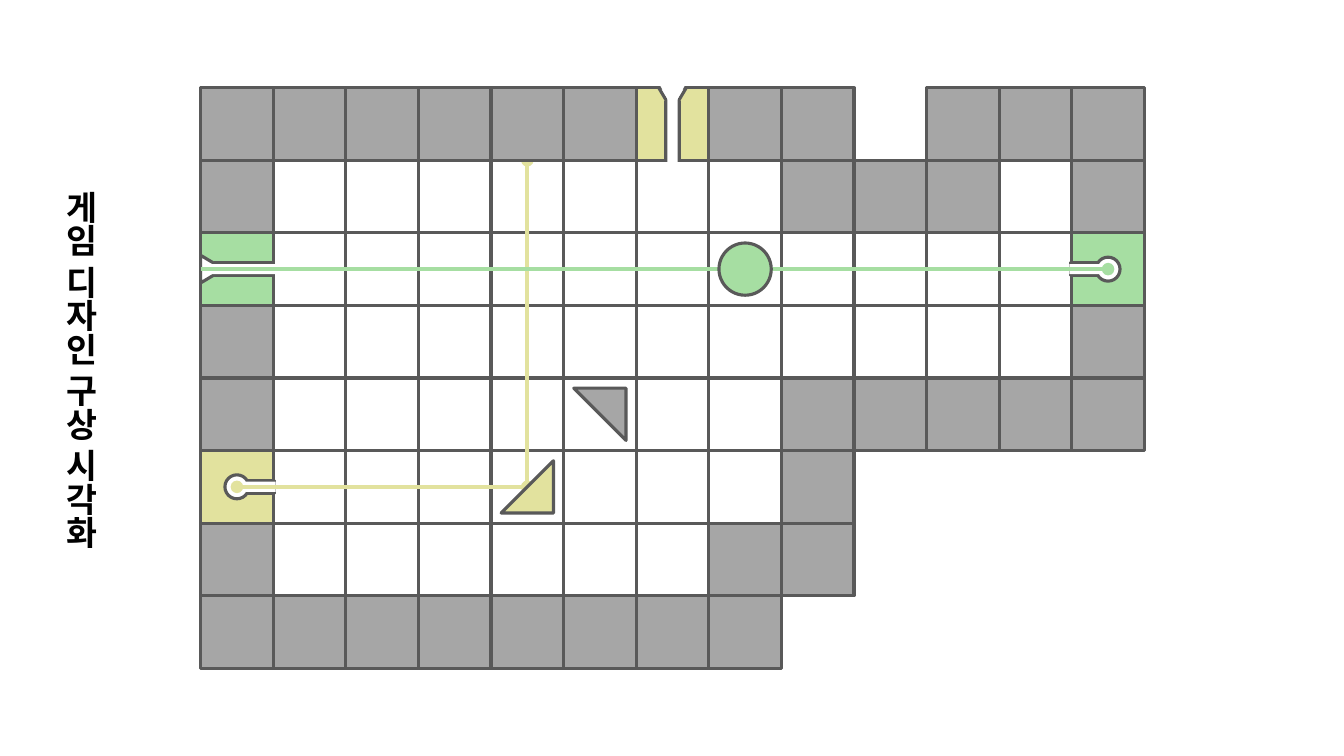
from dataclasses import dataclass
from math import cos, radians, sin

from lxml import etree
from pptx import Presentation
from pptx.dml.color import RGBColor
from pptx.enum.shapes import MSO_CONNECTOR, MSO_SHAPE
from pptx.enum.text import MSO_ANCHOR, MSO_AUTO_SIZE, PP_ALIGN
from pptx.oxml.ns import qn
from pptx.util import Inches, Pt

RECTANGLE = MSO_SHAPE.RECTANGLE
OVAL = MSO_SHAPE.OVAL
TRIANGLE = MSO_SHAPE.ISOSCELES_TRIANGLE
MIRROR = MSO_SHAPE.DIAGONAL_STRIPE
STRAIGHT = MSO_CONNECTOR.STRAIGHT
ANCHOR_TOP = MSO_ANCHOR.TOP
NO_AUTO_SIZE = MSO_AUTO_SIZE.NONE
ALIGN_LEFT = PP_ALIGN.LEFT
TITLE_ONLY = 5


@dataclass(frozen=True)
class Theme:
    wall: str = "A6A6A6"
    outline: str = "595959"
    yellow: str = "E2E29E"
    green: str = "A6DEA2"
    white: str = "FFFFFF"
    text: str = "000000"
    font: str = "Noto Sans CJK KR"
    title_size: float = 24
    outline_width: float = 2.25
    beam_width: float = 3


@dataclass(frozen=True)
class Board:
    """Square cells; positions are counted in columns and rows."""
    left: float = 1.99
    top: float = 0.87
    cell: float = 0.72

    def x(self, column: float) -> int:
        return Inches(self.left + column * self.cell)

    def y(self, row: float) -> int:
        return Inches(self.top + row * self.cell)

    def length(self, cells: float) -> int:
        return Inches(cells * self.cell)


@dataclass(frozen=True)
class Piece:
    """A shape within a tile, centred at an offset from the tile's centre."""
    kind: int
    width: float = 1
    height: float = 1
    across: float = 0
    down: float = 0
    rotation: float = 0
    color: str | None = Theme.white
    outlined: bool = True


@dataclass(frozen=True)
class Tile:
    column: int
    row: int
    pieces: tuple[Piece, ...]
    turn: float = 0


@dataclass(frozen=True)
class Beam:
    start: tuple[float, float]
    end: tuple[float, float]
    color: str
    dots: tuple[str, ...]


THEME = Theme()
BOARD = Board()

# Room plan: W wall, o open floor, x device, dot nothing
PLAN = (
    "WWWWWWxWW.WWW",
    "WoooooooWWWoW",
    "xooooooooooox",
    "WoooooooooooW",
    "WoooooooWWWWW",
    "xoooooooW....",
    "WooooooWW....",
    "WWWWWWWW.....",
)

# A socket opens to the right, a gate opens downwards
SOCKET = (
    Piece(RECTANGLE, 0.39, 0.18, across=0.32),
    Piece(OVAL, 0.33, 0.33),
    Piece(RECTANGLE, 0.41, 0.14, across=0.33, outlined=False),
)
GATE = (
    Piece(RECTANGLE, 0.18, 0.81, down=0.1),
    Piece(TRIANGLE, 0.38, 0.32, down=-0.34, rotation=180),
    Piece(RECTANGLE, 0.14, 0.96, down=0.07, outlined=False),
)
SIDE_GATE = (GATE[1], GATE[0], GATE[2])
MOUTH = Piece(TRIANGLE, 0.39, 0.35, down=-0.4, rotation=180, outlined=False)
YELLOW_BASE = Piece(RECTANGLE, color=THEME.yellow)
GREEN_BASE = Piece(RECTANGLE, color=THEME.green)

DEVICES = (
    Tile(0, 5, (YELLOW_BASE, *SOCKET)),
    Tile(6, 0, (YELLOW_BASE, *GATE, MOUTH)),
    Tile(12, 2, (GREEN_BASE, *SOCKET), turn=180),
    Tile(0, 2, (GREEN_BASE, *SIDE_GATE), turn=-90),
)
MOVERS = (
    Tile(5, 4, (Piece(MIRROR, 0.72, 0.72, rotation=90, color=THEME.wall),)),
    Tile(7, 2, (Piece(OVAL, 0.72, 0.72, color=THEME.green),)),
    Tile(4, 5, (Piece(MIRROR, 0.72, 0.72, rotation=180, color=THEME.yellow),)),
)
RISING_BEAM = Beam((4.5, 5.5), (4.5, 1), THEME.yellow, ("headEnd", "tailEnd"))
LEVEL_BEAMS = (
    Beam((0.5, 5.5), (4.5, 5.5), THEME.yellow, ("headEnd", "tailEnd")),
    Beam((12.5, 2.5), (0, 2.5), THEME.green, ("headEnd",)),
)


def draw_tile(slide, tile: Tile) -> None:
    angle = radians(tile.turn)
    for piece in tile.pieces:
        column = tile.column + 0.5 + piece.across * cos(angle) - piece.down * sin(angle)
        row = tile.row + 0.5 + piece.across * sin(angle) + piece.down * cos(angle)
        shape = slide.shapes.add_shape(
            piece.kind,
            BOARD.x(column - piece.width / 2), BOARD.y(row - piece.height / 2),
            BOARD.length(piece.width), BOARD.length(piece.height))
        shape.rotation = (piece.rotation + tile.turn) % 360
        shape.shadow.inherit = False
        if piece.kind == MIRROR:
            shape.adjustments[0] = 0
        if piece.color:
            shape.fill.solid()
            shape.fill.fore_color.rgb = RGBColor.from_string(piece.color)
        else:
            shape.fill.background()
        if piece.outlined:
            shape.line.color.rgb = RGBColor.from_string(THEME.outline)
            shape.line.width = Pt(THEME.outline_width)
        else:
            shape.line.fill.background()


def draw_cells(slide, mark: str, color: str | None) -> None:
    for row, marks in enumerate(PLAN):
        for column, found in enumerate(marks):
            if found == mark:
                draw_tile(slide, Tile(column, row, (Piece(RECTANGLE, color=color),)))


def draw_beam(slide, beam: Beam) -> None:
    connector = slide.shapes.add_connector(
        STRAIGHT, BOARD.x(beam.start[0]), BOARD.y(beam.start[1]),
        BOARD.x(beam.end[0]), BOARD.y(beam.end[1]))
    connector.line.color.rgb = RGBColor.from_string(beam.color)
    connector.line.width = Pt(THEME.beam_width)
    properties = connector._element.spPr
    for dot in beam.dots:
        etree.SubElement(properties.find(qn("a:ln")), qn(f"a:{dot}"), type="oval")
    etree.SubElement(properties, qn("a:effectLst"))


def write_title(slide, text: str) -> None:
    title = slide.shapes.title
    title.left, title.top = BOARD.x(-2.08), BOARD.y(1.35)
    title.width, title.height = BOARD.length(0.85), BOARD.length(5.6)
    frame = title.text_frame
    frame.word_wrap = False
    frame.auto_size = NO_AUTO_SIZE
    frame.vertical_anchor = ANCHOR_TOP
    frame._txBody.bodyPr.set("vert", "eaVert")
    paragraph = frame.paragraphs[0]
    paragraph.alignment = ALIGN_LEFT
    run = paragraph.add_run()
    run.text = text
    run.font.size = Pt(THEME.title_size)
    run.font.bold = True
    run.font.name = THEME.font
    run.font.color.rgb = RGBColor.from_string(THEME.text)
    etree.SubElement(run._r.rPr, qn("a:ea"), typeface=THEME.font)


presentation = Presentation()
presentation.slide_width = Inches(13.33)
presentation.slide_height = Inches(7.5)
slide = presentation.slides.add_slide(presentation.slide_layouts[TITLE_ONLY])

write_title(slide, "게임 디자인 구상 시각화")

# Floor, then the beam that ends under the upper wall
draw_cells(slide, "o", None)
draw_beam(slide, RISING_BEAM)
draw_cells(slide, "W", THEME.wall)

# Sockets and gates, the beams between them, and the movable shapes
for device in DEVICES:
    draw_tile(slide, device)
for beam in LEVEL_BEAMS:
    draw_beam(slide, beam)
for mover in MOVERS:
    draw_tile(slide, mover)

presentation.save("out.pptx")
